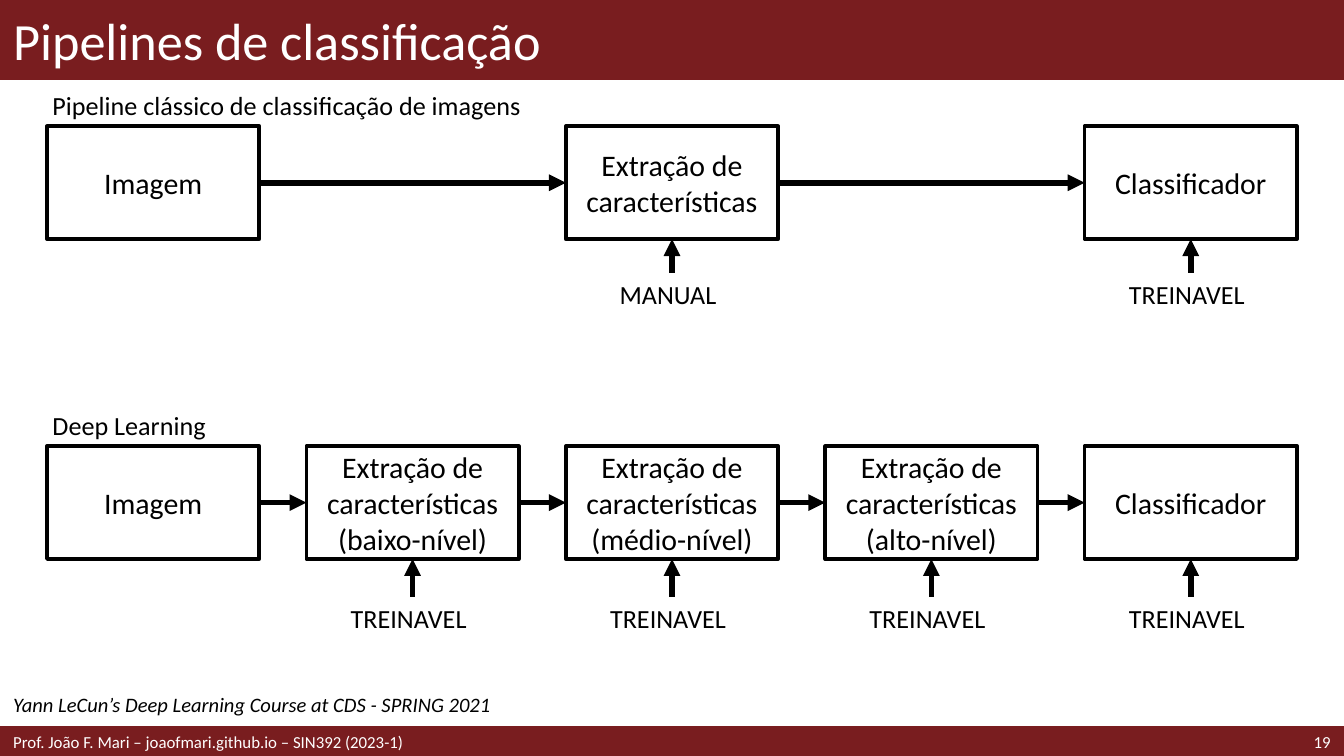
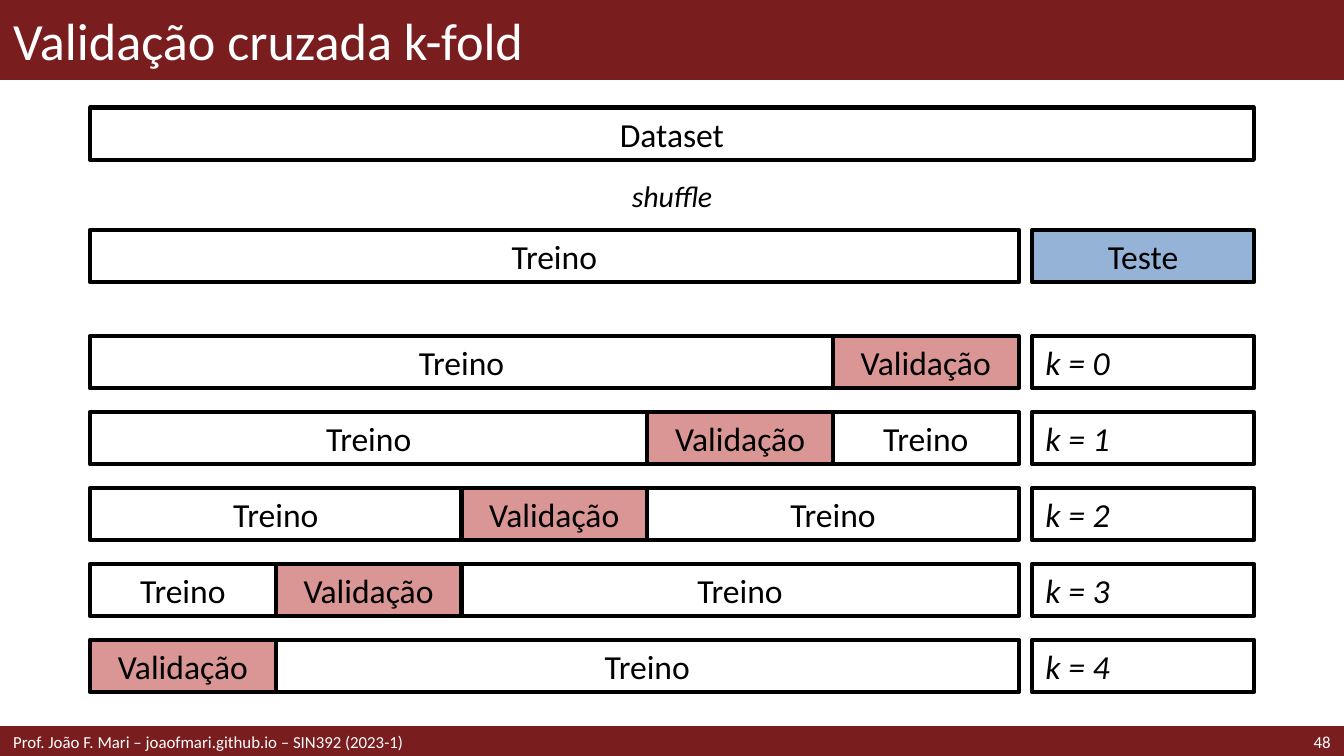
from dataclasses import dataclass

from lxml.etree import SubElement
from pptx import Presentation
from pptx.dml.color import RGBColor
from pptx.enum.shapes import MSO_CONNECTOR as Connector, MSO_SHAPE as Shape
from pptx.enum.text import MSO_ANCHOR as Anchor, PP_ALIGN as Align
from pptx.oxml.ns import qn
from pptx.util import Inches, Pt


@dataclass(frozen=True)
class Theme:
    font: str = "Calibri"
    maroon: str = "791D1F"
    white: str = "FFFFFF"
    black: str = "000000"
    blue: str = "95B3D7"
    pink: str = "D99694"
    title: int = 28
    bar: int = 18
    stage: int = 16
    label: int = 14
    credit: int = 11
    footer: int = 9
    stage_line: float = 2
    bar_line: float = 2.25
    arrow_line: float = 3


THEME = Theme()
WIDTH, HEIGHT = 10, 5.625
TITLE_H, FOOTER_H = 0.59, 0.21
FOOTER_TOP = HEIGHT - FOOTER_H
FOOTER = "Prof. João F. Mari – joaofmari.github.io – SIN392 (2023-1)"

# Pipeline grid: five columns centred on the slide
STAGE_W, STAGE_H, STAGE_PITCH = 1.58, 0.84, 1.93
STAGE_LEFT = (WIDTH - 4 * STAGE_PITCH - STAGE_W) / 2
LABEL_H = 0.31
LABEL_INSETS = (0.04, 0.1)

# k-fold grid: K equal folds, a gap and the test column
K = 5
BAR_LEFT, BAR_H, GAP = 0.67, 0.39, 0.1
TRAIN_W, TEST_W = 6.91, 1.65
FOLD_W = TRAIN_W / K
TEST_LEFT = BAR_LEFT + TRAIN_W + GAP
FOLDS_TOP, FOLD_PITCH = 2.5, 0.565


def inches(*lengths):
    return [Inches(length) for length in lengths]


def rgb(colour):
    return RGBColor.from_string(colour)


def write(shape, text, size, colour=THEME.black, align=Align.CENTER,
          italic=False, insets=(0.1, 0.1), wrap=True, anchor=Anchor.MIDDLE):
    """Fill a shape with text, one paragraph per line."""
    frame = shape.text_frame
    frame.word_wrap = wrap
    frame.vertical_anchor = anchor
    frame.margin_left, frame.margin_right = inches(*insets)
    frame.text = text
    for paragraph in frame.paragraphs:
        paragraph.alignment = align
        font = paragraph.font
        font.name, font.size, font.italic = THEME.font, Pt(size), italic
        font.color.rgb = rgb(colour)


def add_text(slide, box, text, size, **style):
    label = slide.shapes.add_textbox(*inches(*box))
    write(label, text, size, **style)
    return label


def add_box(slide, box, line_width, fill=None, line=THEME.black):
    rectangle = slide.shapes.add_shape(Shape.RECTANGLE, *inches(*box))
    rectangle.shadow.inherit = False
    if fill:
        rectangle.fill.solid()
        rectangle.fill.fore_color.rgb = rgb(fill)
    else:
        rectangle.fill.background()
    rectangle.line.color.rgb = rgb(line)
    rectangle.line.width = Pt(line_width)
    return rectangle


def add_arrow(slide, source, source_side, target, target_side):
    arrow = slide.shapes.add_connector(Connector.STRAIGHT, 0, 0, 0, 0)
    arrow.begin_connect(source, source_side)
    arrow.end_connect(target, target_side)
    arrow.line.color.rgb = rgb(THEME.black)
    arrow.line.width = Pt(THEME.arrow_line)
    SubElement(arrow.line._get_or_add_ln(), qn("a:tailEnd"), type="triangle")
    SubElement(arrow._element.spPr, qn("a:effectLst"))


def add_page(deck, title, number):
    """Add a slide with the title band and the footer."""
    slide = deck.slides.add_slide(deck.slide_layouts[6])
    title_band = (0, 0, WIDTH, TITLE_H)
    add_box(slide, title_band, 1, THEME.maroon, THEME.maroon)
    add_box(slide, (0, FOOTER_TOP, WIDTH, FOOTER_H), 2, THEME.maroon, THEME.maroon)
    add_text(slide, title_band, title, THEME.title,
             colour=THEME.white, align=Align.LEFT)
    add_text(slide, (8.86, FOOTER_TOP, 1.14, FOOTER_H), str(number), THEME.footer,
             colour=THEME.white, align=Align.RIGHT)
    add_text(slide, (0, FOOTER_TOP, 6.89, FOOTER_H), FOOTER, THEME.footer,
             colour=THEME.white, align=Align.LEFT)
    return slide


def add_pipeline(slide, heading, top, label_top, stages):
    """Draw a row of linked stages, each given as (column, text, label)."""
    add_text(slide, (STAGE_LEFT, top - LABEL_H, 5.51, LABEL_H), heading,
             THEME.label, align=Align.LEFT, insets=LABEL_INSETS)
    previous = None
    for column, text, training in stages:
        left = STAGE_LEFT + column * STAGE_PITCH
        stage = add_box(slide, (left, top, STAGE_W, STAGE_H), THEME.stage_line)
        write(stage, text, THEME.stage)
        if previous:
            add_arrow(slide, previous, 3, stage, 1)
        if training:
            label = add_text(slide, (left, label_top, STAGE_W, LABEL_H), training,
                             THEME.label, insets=LABEL_INSETS)
            add_arrow(slide, label, 0, stage, 2)
        previous = stage


def add_bar(slide, left, top, width, text, fill=None, **style):
    bar = add_box(slide, (left, top, width, BAR_H), THEME.bar_line, fill)
    write(bar, text, THEME.bar, **style)


def add_fold_row(slide, k):
    """Draw round k, whose validation fold moves one step left each time."""
    top = FOLDS_TOP + k * FOLD_PITCH
    start = 0
    for text, folds, fill in (("Treino", K - 1 - k, None),
                              ("Validação", 1, THEME.pink),
                              ("Treino", k, None)):
        if folds:
            add_bar(slide, BAR_LEFT + start * FOLD_W, top, folds * FOLD_W, text, fill)
        start += folds
    add_bar(slide, TEST_LEFT, top, TEST_W, f"k = {k}", align=Align.LEFT, italic=True)


def build_pipelines(deck):
    slide = add_page(deck, "Pipelines de classificação", 19)
    extraction, trainable = "Extração de características", "TREINAVEL"
    add_pipeline(slide, "Pipeline clássico de classificação de imagens", 0.94, 2.03, [
        (0, "Imagem", None),
        (2, extraction, "MANUAL"),
        (4, "Classificador", trainable),
    ])
    levels = [(column, f"{extraction}\n({level}-nível)", trainable)
              for column, level in enumerate(("baixo", "médio", "alto"), 1)]
    add_pipeline(slide, "Deep Learning", 3.32, 4.44, [
        (0, "Imagem", None), *levels, (4, "Classificador", trainable),
    ])
    add_text(slide, (0, 5.1, WIDTH / 2, 0.29),
             "Yann LeCun’s Deep Learning Course at CDS - SPRING 2021",
             THEME.credit, align=Align.LEFT, italic=True, anchor=Anchor.TOP)


def build_k_fold(deck):
    slide = add_page(deck, "Validação cruzada k-fold", 48)
    add_bar(slide, BAR_LEFT, 0.8, TRAIN_W + GAP + TEST_W, "Dataset")
    add_text(slide, (4.59, 1.27, 0.82, 0.37), "shuffle", THEME.stage,
             italic=True, wrap=False, anchor=Anchor.TOP)
    add_bar(slide, BAR_LEFT, 1.71, TRAIN_W, "Treino")
    add_bar(slide, TEST_LEFT, 1.71, TEST_W, "Teste", THEME.blue)
    for k in range(K):
        add_fold_row(slide, k)


def main():
    deck = Presentation()
    deck.slide_width, deck.slide_height = inches(WIDTH, HEIGHT)
    build_pipelines(deck)
    build_k_fold(deck)
    deck.save("out.pptx")


if __name__ == "__main__":
    main()
